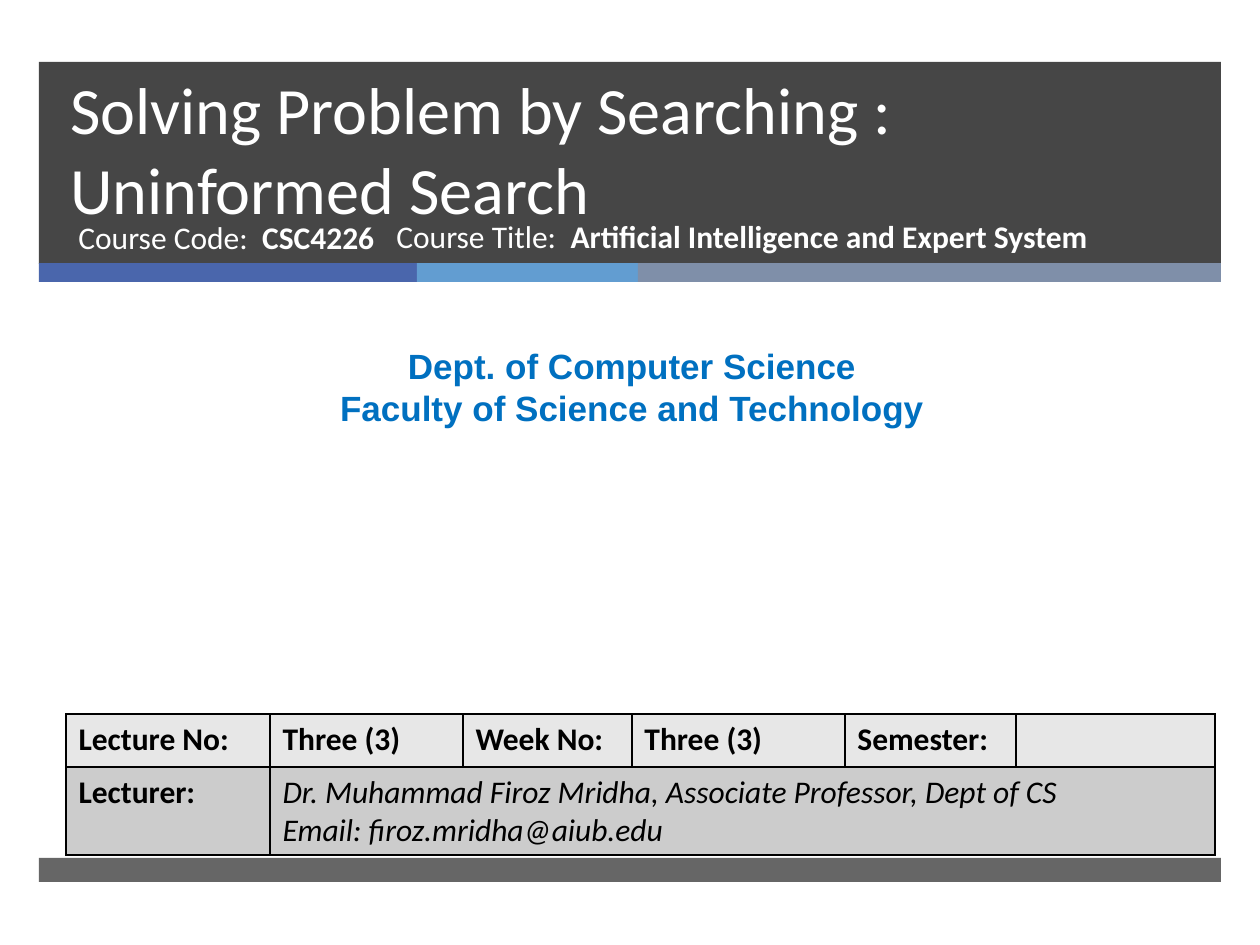
from lxml import etree
from pptx import Presentation
from pptx.dml.color import RGBColor
from pptx.enum.shapes import MSO_SHAPE
from pptx.enum.text import MSO_ANCHOR, PP_ALIGN
from pptx.oxml.ns import qn
from pptx.util import Emu, Pt

COLORS = {
    "band": "262626",
    "indigo": "4A66AC",
    "sky": "629DD1",
    "slate": "7F8FA9",
    "white": "FFFFFF",
    "black": "000000",
    "department": "0070C0",
    "light row": "E7E7E7",
    "dark row": "CCCCCC",
}
BAND_LEFT, BAND_WIDTH = 39, 1182


def px(length):
    return Emu(round(length * 914400 / 126))


def color(name):
    return RGBColor.from_string(COLORS[name])


def add_bar(slide, left, top, width, height, fill, opacity=100):
    bar = slide.shapes.add_shape(
        MSO_SHAPE.RECTANGLE, px(left), px(top), px(width), px(height))
    bar.shadow.inherit = False
    bar.line.fill.background()
    bar.fill.solid()
    bar.fill.fore_color.rgb = color(fill)
    if opacity < 100:
        tint = bar.fill._xPr.find(".//" + qn("a:srgbClr"))
        etree.SubElement(tint, qn("a:alpha"), val=str(opacity * 1000))


def add_run(paragraph, text, size, fill, font="Calibri", bold=False, italic=False):
    run = paragraph.add_run()
    run.text = text
    run.font.name = font
    run.font.size = Pt(size)
    run.font.bold = bold
    run.font.italic = italic
    run.font.color.rgb = color(fill)


def add_frame(slide, left, top, width, height):
    frame = slide.shapes.add_textbox(
        px(left), px(top), px(width), px(height)).text_frame
    frame.word_wrap = True
    return frame


def add_title(slide, lines):
    frame = add_frame(slide, 58, 81, 1076, 150)
    frame.vertical_anchor = MSO_ANCHOR.BOTTOM
    frame.margin_bottom = px(3)
    paragraph = frame.paragraphs[0]
    paragraph.line_spacing = Pt(46)
    for index, line in enumerate(lines):
        if index:
            paragraph.add_line_break()
        add_run(paragraph, line, 37.8, "white")


def add_course_fact(slide, left, top, width, label, value):
    paragraph = add_frame(slide, left, top, width, 67).paragraphs[0]
    add_run(paragraph, label, 18, "white")
    add_run(paragraph, value, 18, "white", bold=True)


def add_department(slide, lines):
    frame = add_frame(slide, 10, 338, 1244, 97)
    for index, line in enumerate(lines):
        paragraph = frame.add_paragraph() if index else frame.paragraphs[0]
        paragraph.alignment = PP_ALIGN.CENTER
        add_run(paragraph, line, 20, "department", "Arial", bold=True)


def add_borders(cell):
    properties = cell._tc.get_or_add_tcPr()
    for index, side in enumerate(("a:lnL", "a:lnR", "a:lnT", "a:lnB")):
        border = etree.Element(qn(side), w=str(Pt(1)))
        ink = etree.SubElement(border, qn("a:solidFill"))
        etree.SubElement(ink, qn("a:srgbClr"), val=COLORS["black"])
        properties.insert(index, border)


def fill_cell(cell, lines, bold):
    for index, line in enumerate(lines):
        frame = cell.text_frame
        paragraph = frame.add_paragraph() if index else frame.paragraphs[0]
        add_run(paragraph, line, 18, "black", bold=bold, italic=not bold)


def add_lecture_table(slide, headings, lecturer):
    widths = (204, 193, 169, 213, 171, 199)
    heights = (53, 88)
    table = slide.shapes.add_table(
        len(heights), len(widths), px(66), px(714),
        px(sum(widths)), px(sum(heights))).table
    for column, width in zip(table.columns, widths):
        column.width = px(width)
    for row, height, shade in zip(table.rows, heights, ("light row", "dark row")):
        row.height = px(height)
        for cell in row.cells:
            cell.fill.solid()
            cell.fill.fore_color.rgb = color(shade)
            add_borders(cell)
    table.cell(1, 1).merge(table.cell(1, len(widths) - 1))
    for index, heading in enumerate(headings):
        fill_cell(table.cell(0, index), [heading], bold=True)
    fill_cell(table.cell(1, 0), ["Lecturer:"], bold=True)
    fill_cell(table.cell(1, 1), lecturer, bold=False)


def main():
    deck = Presentation()
    deck.slide_width, deck.slide_height = px(1260), px(945)
    slide = deck.slides.add_slide(deck.slide_layouts[6])

    add_bar(slide, BAND_LEFT, 62, BAND_WIDTH, 202, "band", 85)
    left = BAND_LEFT
    for width, fill in ((378, "indigo"), (221, "sky"), (583, "slate")):
        add_bar(slide, left, 263, width, 19, fill)
        left += width
    add_bar(slide, BAND_LEFT, 858, BAND_WIDTH, 24, "band", 70)

    add_title(slide, ["Solving Problem by Searching :", "Uninformed Search"])
    add_course_fact(slide, 66, 212, 384, "Course Code:  ", "CSC4226")
    add_course_fact(slide, 384, 211, 721, "Course Title:  ",
                    "Artificial Intelligence and Expert System")
    add_department(slide, ["Dept. of Computer Science",
                           "Faculty of Science and Technology"])
    add_lecture_table(
        slide,
        ["Lecture No:", "Three (3)", "Week No:", "Three (3)", "Semester:"],
        ["Dr. Muhammad Firoz Mridha, Associate Professor, Dept of CS",
         "Email: firoz.mridha@aiub.edu"])

    deck.save("out.pptx")


if __name__ == "__main__":
    main()
